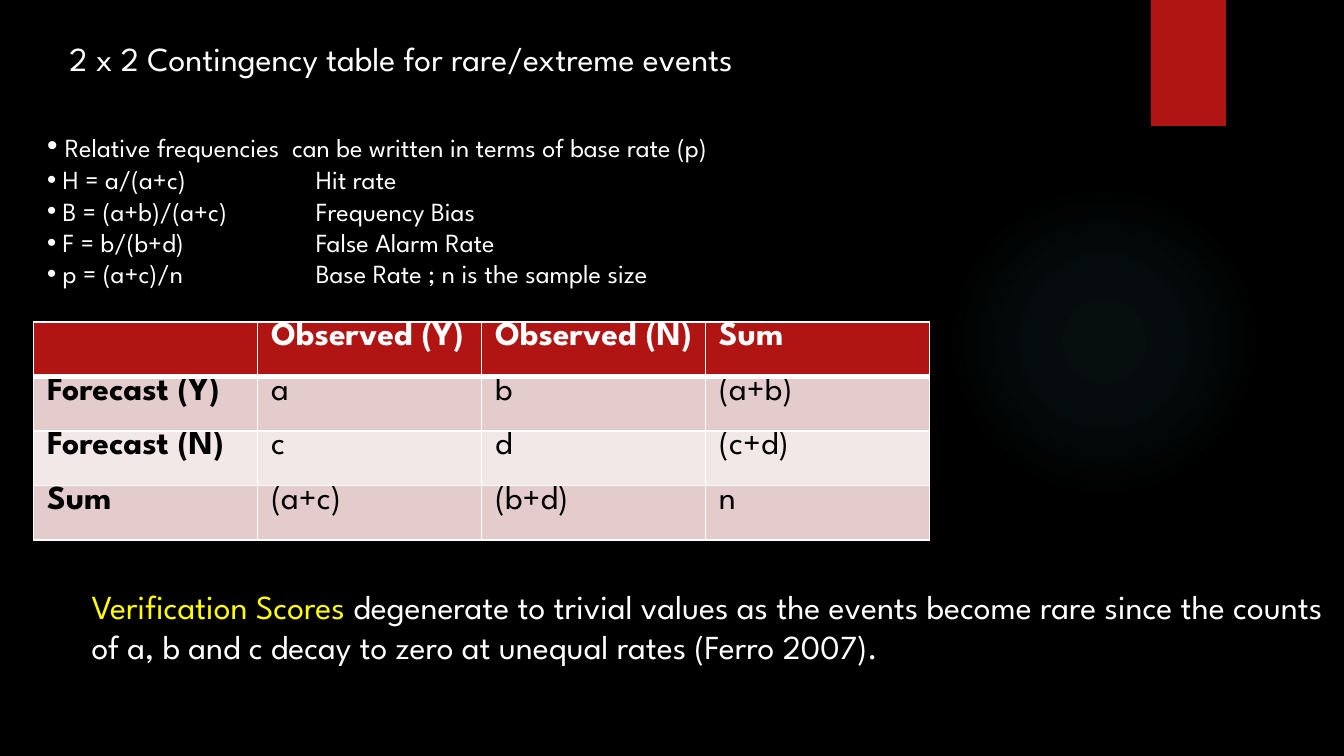
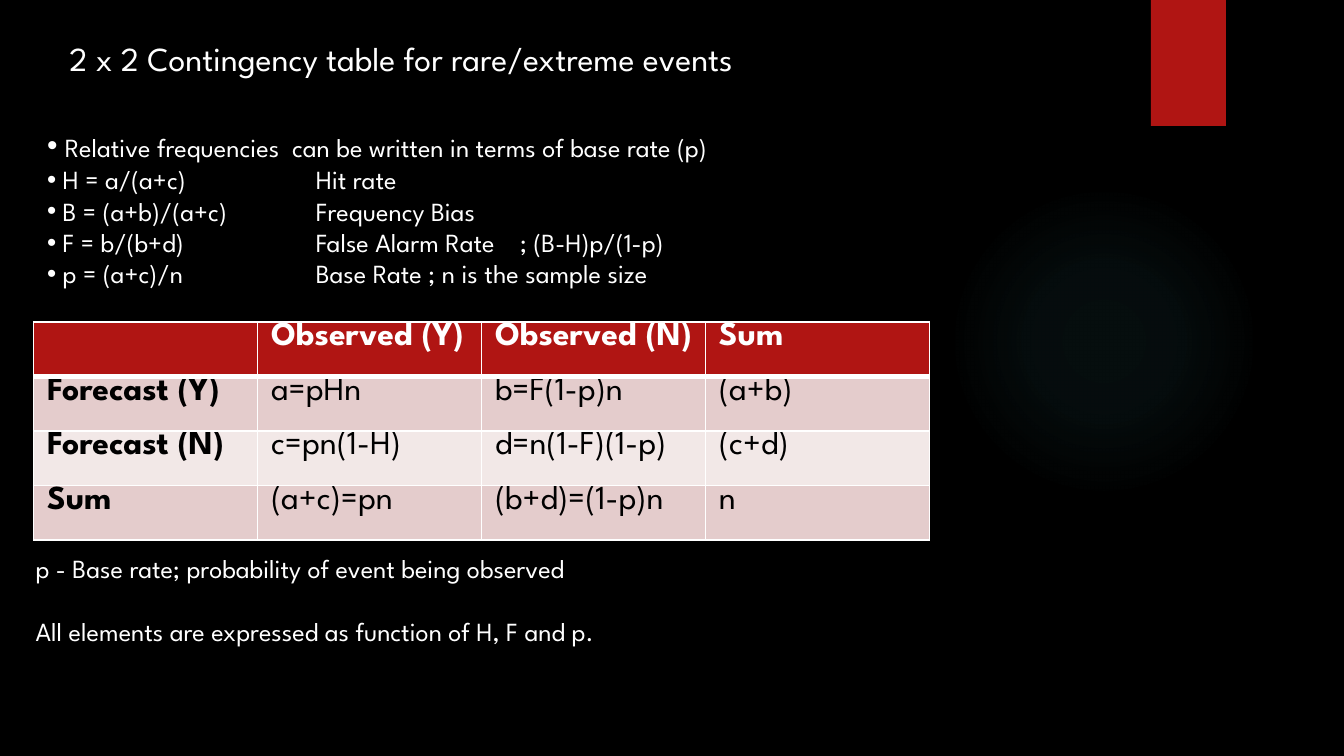
import pptx
import pptx.dml.color
import pptx.enum.shapes
import pptx.enum.text
import pptx.oxml
import pptx.oxml.ns
import pptx.util

Pt = pptx.util.Pt
RGBColor = pptx.dml.color.RGBColor
qn = pptx.oxml.ns.qn

BLACK = RGBColor(0x00, 0x00, 0x00)
WHITE = RGBColor(0xFF, 0xFF, 0xFF)
YELLOW = RGBColor(0xFF, 0xFF, 0x00)
RED = RGBColor(0xB0, 0x15, 0x13)
ROSE = RGBColor(0xE4, 0xCC, 0xCC)
PALE_ROSE = RGBColor(0xF2, 0xE8, 0xE7)
TEAL = RGBColor(0x50, 0xB9, 0xC1)

GLOW_STOPS = [(0, 7), (36, 6), (69, 0)]
COLUMN_WIDTH, ROW_HEIGHT = 120, 29.2
TAB_STOPS = [144, 253.4]

TITLE = "2 x 2 Contingency table for rare/extreme events"
HEADER = ["", "Observed (Y)", "Observed (N)", "Sum"]


def xml(text):
    return pptx.oxml.parse_xml(f"<a:root {pptx.oxml.ns.nsdecls('a')}>{text}</a:root>")[0]


class Deck:
    font = {"name": "League Spartan", "size": Pt(18), "bold": False}
    frame = {
        "word_wrap": True,
        "auto_size": pptx.enum.text.MSO_AUTO_SIZE.NONE,
        "vertical_anchor": pptx.enum.text.MSO_ANCHOR.TOP,
    }
    paragraph = {
        "alignment": pptx.enum.text.PP_ALIGN.LEFT,
        "space_before": Pt(0),
        "space_after": Pt(0),
    }

    def __init__(self):
        self.prs = pptx.Presentation()
        self.prs.slide_width, self.prs.slide_height = Pt(720), Pt(405)
        self.layout = self.prs.slide_layouts[1]
        fill = self.prs.slide_master.background.fill
        fill.solid()
        fill.fore_color.rgb = BLACK
        self.s = None

    def apply(self, target, values):
        for name, value in values.items():
            setattr(target, name, value)

    def place(self, sp, left, top, width, height):
        self.apply(sp, {"left": Pt(left), "top": Pt(top),
                        "width": Pt(width), "height": Pt(height)})
        self.apply(sp.text_frame, self.frame)
        return sp.text_frame

    def run(self, p, text, color=WHITE, **values):
        r = p.add_run()
        r.text = text
        self.apply(r.font, {**self.font, **values})
        r.font.color.rgb = color

    def new_slide(self):
        first = self.s is None
        self.s = self.prs.slides.add_slide(self.layout)
        if first:
            self.decorate()

    def decorate(self):
        shape = pptx.enum.shapes.MSO_SHAPE
        glow = self.s.shapes.add_shape(shape.OVAL, Pt(508.3), Pt(99.4), Pt(166.3), Pt(166.3))
        glow.fill.background()
        stops = "".join(
            f'<a:gs pos="{pos * 1000}"><a:srgbClr val="{TEAL}">'
            f'<a:alpha val="{alpha * 1000}"/></a:srgbClr></a:gs>'
            for pos, alpha in GLOW_STOPS)
        spPr = glow.element.spPr
        spPr.replace(spPr.find(qn("a:noFill")), xml(
            f'<a:gradFill><a:gsLst>{stops}</a:gsLst><a:path path="circle">'
            '<a:fillToRect l="50000" t="50000" r="50000" b="50000"/></a:path></a:gradFill>'))
        band = self.s.shapes.add_shape(shape.RECTANGLE, Pt(616.5), Pt(0), Pt(40.3), Pt(67.5))
        band.fill.solid()
        band.fill.fore_color.rgb = RED
        for i, sp in enumerate([glow, band]):
            sp.line.fill.background()
            sp.shadow.inherit = False
            sp.element.xpath(".//p:cNvPr")[0].set("id", str(100 + i))
            self.layout.shapes.element.insert(2 + i, sp.element)

    def title(self, text):
        tf = self.place(self.s.shapes.title, 30, 16.6, 570, 28.8)
        p = tf.paragraphs[0]
        self.apply(p, self.paragraph)
        self.run(p, text)

    def bullets(self, items):
        tf = self.place(self.s.placeholders[1], 18, 64.8, 702, 94.3)
        tabs = "".join(f'<a:tab pos="{Pt(x)}" algn="l"/>' for x in TAB_STOPS)
        for i, item in enumerate(items):
            p = tf.paragraphs[0] if i == 0 else tf.add_paragraph()
            self.apply(p, self.paragraph)
            pPr = p._p.get_or_add_pPr()
            pPr.set("marL", "0")
            pPr.set("indent", "0")
            pPr.append(xml('<a:buFont typeface="Arial"/>'))
            pPr.append(xml('<a:buChar char="•"/>'))
            pPr.append(xml(f"<a:tabLst>{tabs}</a:tabLst>"))
            self.run(p, " ", size=Pt(16 if i == 0 else 14))
            self.run(p, item, size=Pt(14))

    def text(self, box, paragraphs, size, gap=0):
        tf = self.place(self.s.shapes.add_textbox(0, 0, 0, 0), *box)
        for i, runs in enumerate(paragraphs):
            p = tf.paragraphs[0] if i == 0 else tf.add_paragraph()
            self.apply(p, self.paragraph)
            if i:
                p.space_before = Pt(gap)
            for text, color in runs:
                self.run(p, text, color, size=Pt(size))

    def borders(self, cell, row):
        tcPr = cell._tc.get_or_add_tcPr()
        thick = {(0, "B"), (1, "T")}
        for i, side in enumerate("LRTB"):
            width = 3 if (row, side) in thick else 1
            tcPr.insert(i, xml(
                f'<a:ln{side} w="{Pt(width)}"><a:solidFill><a:srgbClr val="{WHITE}"/>'
                f'</a:solidFill></a:ln{side}>'))

    def table(self, rows):
        n, m = len(rows), len(rows[0])
        tbl = self.s.shapes.add_table(n, m, Pt(18), Pt(172.6), Pt(COLUMN_WIDTH * m),
                                      Pt(ROW_HEIGHT * n)).table
        for column in tbl.columns:
            column.width = Pt(COLUMN_WIDTH)
        for i, values in enumerate(rows):
            tbl.rows[i].height = Pt(ROW_HEIGHT)
            for j, value in enumerate(values):
                cell = tbl.cell(i, j)
                self.apply(cell, {"margin_top": Pt(0), "margin_bottom": Pt(0)})
                cell.fill.solid()
                cell.fill.fore_color.rgb = RED if i == 0 else ROSE if i % 2 else PALE_ROSE
                self.borders(cell, i)
                if value:
                    self.run(cell.text_frame.paragraphs[0], value,
                             BLACK if i else WHITE, bold=i == 0 or j == 0)


def contingency_slide(deck, false_alarm, cells):
    deck.new_slide()
    deck.title(TITLE)
    deck.bullets([
        "Relative frequencies  can be written in terms of base rate (p)",
        "H = a/(a+c)\tHit rate",
        "B = (a+b)/(a+c)\tFrequency Bias",
        f"F = b/(b+d)\t{false_alarm}",
        "p = (a+c)/n\tBase Rate ; n is the sample size",
    ])
    labels = ["Forecast (Y)", "Forecast (N)", "Sum"]
    sums = ["(a+b)", "(c+d)", "n"]
    deck.table([HEADER] + [[label, *row, total]
                           for label, row, total in zip(labels, cells, sums)])


def main():
    deck = Deck()

    contingency_slide(deck, "False Alarm Rate",
                      [["a", "b"], ["c", "d"], ["(a+c)", "(b+d)"]])
    deck.text((42, 310.3, 678, 72.7), [[
        ("Verification Scores ", YELLOW),
        ("degenerate to trivial values as the events become rare since the counts "
         "of a, b and c decay to zero at unequal rates (Ferro 2007).", WHITE),
    ]], 18)

    contingency_slide(deck, "False Alarm Rate\t; (B-H)p/(1-p)",
                      [["a=pHn", "b=F(1-p)n"], ["c=pn(1-H)", "d=n(1-F)(1-p)"],
                       ["(a+c)=pn", "(b+d)=(1-p)n"]])
    deck.text((12, 292.3, 498, 58.3), [
        [("p - Base rate; probability of event being observed", WHITE)],
        [("All elements are expressed as function of H, F and p.", WHITE)],
    ], 14, gap=16.9)

    deck.prs.save("out.pptx")


if __name__ == "__main__":
    main()
